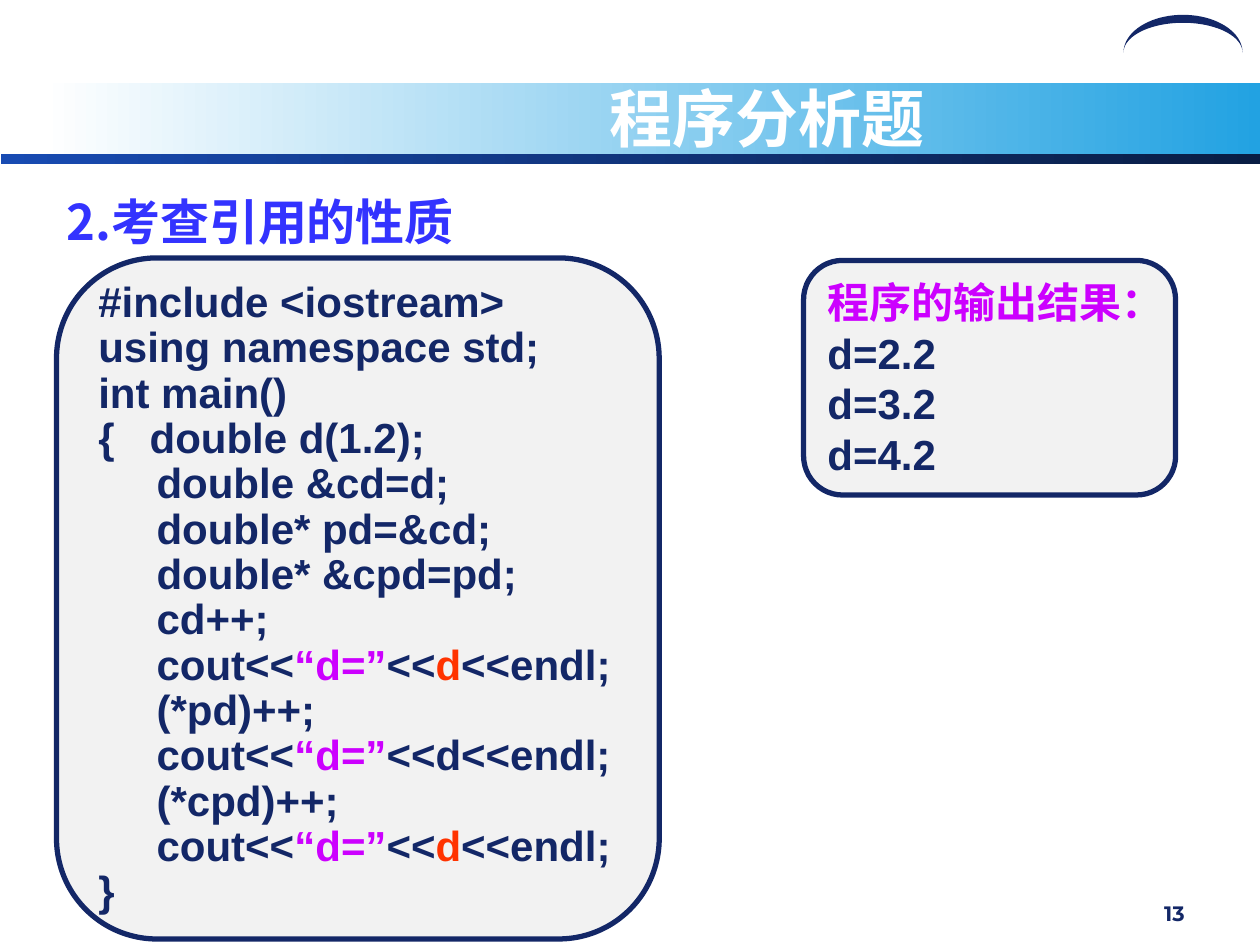
from dataclasses import dataclass
from math import cos, pi, sin

from lxml import etree
from pptx import Presentation
from pptx.dml.color import RGBColor
from pptx.enum.shapes import MSO_SHAPE
from pptx.enum.text import MSO_ANCHOR, PP_ALIGN
from pptx.oxml.ns import qn
from pptx.util import Cm, Pt

RECT, ROUND = MSO_SHAPE.RECTANGLE, MSO_SHAPE.ROUNDED_RECTANGLE
LEFT, MID, RIGHT = PP_ALIGN.LEFT, PP_ALIGN.CENTER, PP_ALIGN.RIGHT
TOP, CENTER = MSO_ANCHOR.TOP, MSO_ANCHOR.MIDDLE
NAVY, PINK, RED = "132767", "CC00FF", "FF3300"
WHITE, BLUE, GREY = "FFFFFF", "3333FF", "F2F2F2"
LATIN, HAN = "Arial", "Noto Sans CJK SC"

Row = list[tuple[str, str]]


@dataclass
class Area:
    left: float
    top: float
    width: float
    height: float

    def size(self) -> list[int]:
        return [Cm(n) for n in (self.left, self.top, self.width, self.height)]


@dataclass
class Bar:
    area: Area
    start: str
    end: str


@dataclass
class Label:
    area: Area
    text: str
    color: str
    size: float
    face: str
    align: int
    anchor: int


@dataclass
class Panel:
    area: Area
    rows: list[Row]
    pitch: float


def paint(color: str) -> RGBColor:
    return RGBColor.from_string(color)


def apply(target, values: dict) -> None:
    for name, value in values.items():
        setattr(target, name, value)


def add_run(para, text: str, color: str, size: float, face: str) -> None:
    run = para.add_run()
    run.text = text
    apply(run.font, {"size": Pt(size), "bold": True, "name": face})
    run.font.color.rgb = paint(color)
    latin = run.font._element.find(qn("a:latin"))
    east = etree.Element(qn("a:ea"), typeface=HAN)
    latin.addnext(east)


def add_bar(slide, bar: Bar) -> None:
    shape = slide.shapes.add_shape(RECT, *bar.area.size())
    shape.shadow.inherit = False
    shape.line.fill.background()
    shape.fill.gradient()
    shape.fill.gradient_angle = 0
    for stop, color, place in zip(shape.fill.gradient_stops, (bar.start, bar.end), (0, 1)):
        stop.color.rgb = paint(color)
        stop.position = place


def add_arc(slide, mid: float, base: float, radius: float, outer: float, inner: float) -> None:
    steps = 40
    turns = [pi * n / steps for n in range(steps + 1)]
    edge = [(mid - radius * cos(t), base - outer * sin(t)) for t in turns]
    edge += [(mid + radius * cos(t), base - inner * sin(t)) for t in turns]
    points = [(Cm(x), Cm(y)) for x, y in edge]
    form = slide.shapes.build_freeform(*points[0])
    form.add_line_segments(points[1:], close=True)
    shape = form.convert_to_shape()
    shape.shadow.inherit = False
    shape.fill.solid()
    shape.fill.fore_color.rgb = paint(NAVY)
    shape.line.fill.background()


def add_label(slide, label: Label) -> None:
    frame = slide.shapes.add_textbox(*label.area.size()).text_frame
    apply(frame, {"word_wrap": True, "vertical_anchor": label.anchor})
    para = frame.paragraphs[0]
    para.alignment = label.align
    add_run(para, label.text, label.color, label.size, label.face)


def add_panel(slide, panel: Panel) -> None:
    shape = slide.shapes.add_shape(ROUND, *panel.area.size())
    shape.shadow.inherit = False
    shape.fill.solid()
    shape.fill.fore_color.rgb = paint(GREY)
    shape.line.color.rgb = paint(NAVY)
    shape.line.width = Pt(3)
    frame = shape.text_frame
    apply(frame, {"word_wrap": False, "vertical_anchor": CENTER})
    for index, row in enumerate(panel.rows):
        para = frame.add_paragraph() if index else frame.paragraphs[0]
        apply(para, {"alignment": LEFT, "line_spacing": panel.pitch})
        props = para._p.get_or_add_pPr()
        props.set("marL", str(Cm(0.48)))
        props.set("indent", str(Cm(-0.48)))
        for text, color in row:
            add_run(para, text, color, 24, LATIN)


def plain(*lines: str) -> list[Row]:
    return [[(line, NAVY)] for line in lines]


def print_row(color: str) -> Row:
    return [("     cout<<", NAVY), ("“d=”", PINK), ("<<", NAVY), ("d", color), ("<<endl;", NAVY)]


CODE = [
    *plain(
        "#include <iostream>",
        "using namespace std;",
        "int main()",
        "{   double d(1.2);",
        "     double &cd=d;",
        "     double* pd=&cd;",
        "     double* &cpd=pd;",
        "     cd++;",
    ),
    print_row(RED),
    *plain("     (*pd)++;"),
    print_row(NAVY),
    *plain("     (*cpd)++;"),
    print_row(RED),
    *plain("}"),
]
RESULT = [[("程序的输出结果：", PINK)], *plain("d=2.2", "d=3.2", "d=4.2")]

BARS = [
    Bar(Area(0.84, 1.68, 24.56, 1.46), WHITE, "22A2E2"),
    Bar(Area(0.02, 3.1, 25.38, 0.2), "184BB2", "091D44"),
]
LABELS = [
    Label(Area(21.51, 18.04, 2.62, 0.88), "13", NAVY, 11.9, "Montserrat", RIGHT, TOP),
    Label(Area(1.09, 3.73, 22.6, 1.68), "2.考查引用的性质", BLUE, 28, HAN, LEFT, TOP),
    Label(Area(6.78, 1.7, 17.35, 1.35), "程序分析题", WHITE, 36, LATIN, MID, CENTER),
]
PANELS = [
    Panel(Area(1.14, 5.2, 12.15, 13.73), CODE, 0.9),
    Panel(Area(16.2, 5.25, 7.5, 4.73), RESULT, 1.0),
]


def main() -> None:
    deck = Presentation()
    apply(deck, {"slide_width": Cm(25.4), "slide_height": Cm(19.05)})
    slide = deck.slides.add_slide(deck.slide_layouts[6])
    for bar in BARS:
        add_bar(slide, bar)
    add_arc(slide, 23.85, 1.06, 1.2, 0.76, 0.6)
    for label in LABELS:
        add_label(slide, label)
    for panel in PANELS:
        add_panel(slide, panel)
    deck.save("out.pptx")


if __name__ == "__main__":
    main()
